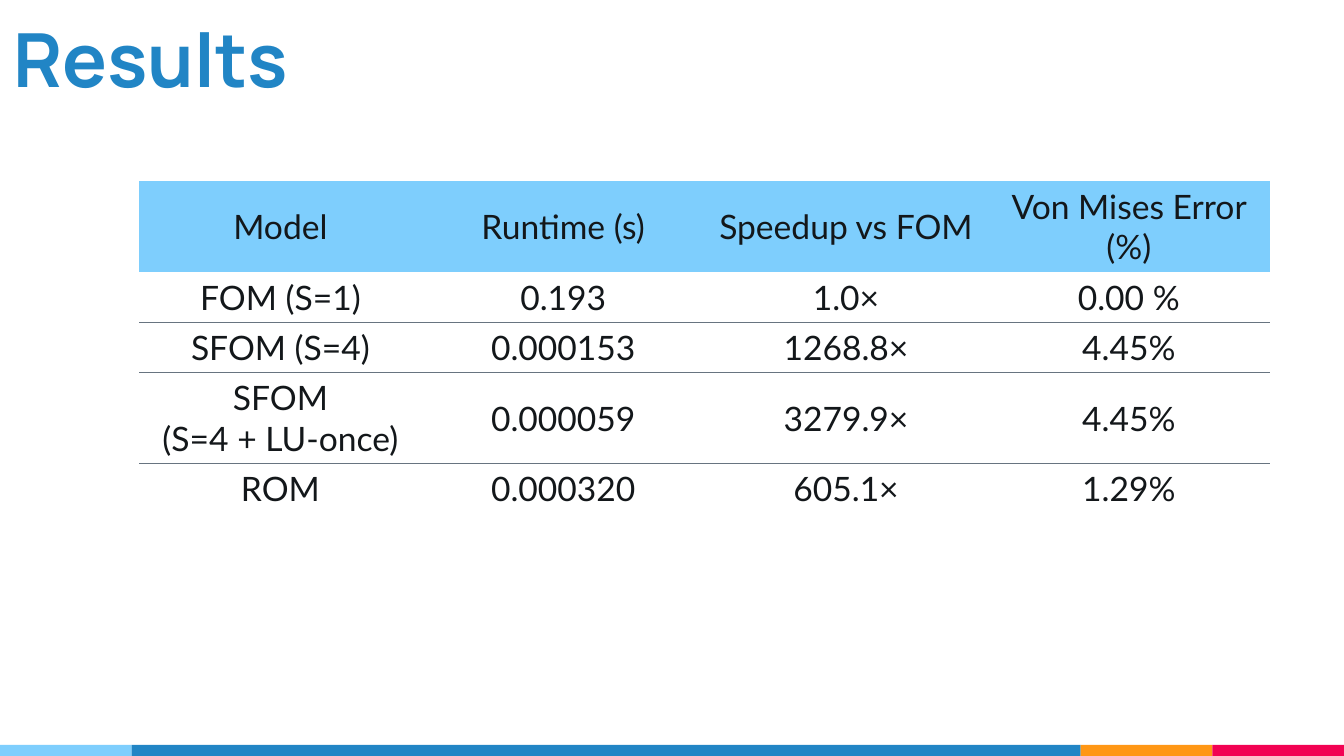
from dataclasses import dataclass

from lxml import etree
from pptx import Presentation
from pptx import util as u
from pptx.dml import color
from pptx.enum import shapes, text
from pptx.oxml import ns


@dataclass(frozen=True)
class Theme:
    sky: str = "7ECEFD"
    blue: str = "2185C5"
    gold: str = "FF9715"
    pink: str = "F20253"
    ink: str = "13171A"
    rule: str = "677480"
    head: str = "Manrope"
    body: str = "Lato"
    big: float = 53.3
    mid: float = 24
    plain: str = "{2D5ABB26-0587-4C30-8999-92F81FD0307C}"


class Deck:
    def __init__(self, theme, wide, high):
        self.theme = theme
        self.file = Presentation()
        self.file.slide_width = u.Pt(wide)
        self.file.slide_height = u.Pt(high)
        self.slide = self.file.slides.add_slide(self.file.slide_layouts[6])

    def style(self, frame, face, size, tone, bold=False, align=text.PP_ALIGN.LEFT):
        for para in frame.paragraphs:
            para.alignment = align
            for run in para.runs:
                run.font.name = face
                run.font.size = u.Pt(size)
                run.font.bold = bold
                run.font.color.rgb = color.RGBColor.from_string(tone)

    def bar(self, left, top, wide, high, tone):
        box = self.slide.shapes.add_shape(
            shapes.MSO_SHAPE.RECTANGLE, u.Pt(left), u.Pt(top), u.Pt(wide), u.Pt(high))
        box.shadow.inherit = False
        box.fill.solid()
        box.fill.fore_color.rgb = color.RGBColor.from_string(tone)
        box.line.fill.background()

    def title(self, words, wide, high, pad):
        box = self.slide.shapes.add_textbox(0, 0, u.Pt(wide), u.Pt(high))
        frame = box.text_frame
        frame.word_wrap = True
        frame.vertical_anchor = text.MSO_ANCHOR.MIDDLE
        frame.margin_left = frame.margin_right = u.Pt(pad)
        frame.margin_top = frame.margin_bottom = u.Pt(pad)
        frame.text = words
        self.style(frame, self.theme.head, self.theme.big, self.theme.blue, True)

    def under(self, cell):
        line = etree.Element(ns.qn("a:lnB"), w=str(u.Pt(1)))
        fill = etree.SubElement(line, ns.qn("a:solidFill"))
        etree.SubElement(fill, ns.qn("a:srgbClr"), val=self.theme.rule)
        cell._tc.get_or_add_tcPr().insert(0, line)

    def table(self, left, top, wide, highs, rows):
        grid = self.slide.shapes.add_table(
            len(rows), len(rows[0]), u.Pt(left), u.Pt(top),
            u.Pt(wide), u.Pt(sum(highs))).table
        grid.horz_banding = False
        grid._tbl.tblPr.find(ns.qn("a:tableStyleId")).text = self.theme.plain
        for r, (high, row) in enumerate(zip(highs, rows)):
            grid.rows[r].height = u.Pt(high)
            for c, words in enumerate(row):
                cell = grid.cell(r, c)
                cell.vertical_anchor = text.MSO_ANCHOR.MIDDLE
                cell.text_frame.text = words
                self.style(cell.text_frame, self.theme.body, self.theme.mid,
                           self.theme.ink, align=text.PP_ALIGN.CENTER)
                if r == 0:
                    cell.fill.solid()
                    cell.fill.fore_color.rgb = color.RGBColor.from_string(self.theme.sky)
                else:
                    cell.fill.background()
                if 0 < r < len(rows) - 1:
                    self.under(cell)


def main():
    wide, high = 960, 540
    theme = Theme()
    deck = Deck(theme, wide, high)

    thick, end = 8, 94
    left = 0
    for span, tone in ((end, theme.sky), (wide - 3 * end, theme.blue),
                       (end, theme.gold), (end, theme.pink)):
        deck.bar(left, high - thick, span, thick, tone)
        left += span

    deck.title("Results", wide, 83, 9.6)
    one, two = 36, 64.8
    deck.table(99.3, 129.4, 808, (two, one, one, two, one), (
        ("Model", "Runtime (s)", "Speedup vs FOM", "Von Mises Error (%)"),
        ("FOM (S=1)", "0.193", "1.0×", "0.00 %"),
        ("SFOM (S=4)", "0.000153", "1268.8×", "4.45%"),
        ("SFOM\n(S=4 + LU-once)", "0.000059", "3279.9×", "4.45%"),
        ("ROM", "0.000320", "605.1×", "1.29%"),
    ))
    deck.file.save("out.pptx")


if __name__ == "__main__":
    main()
